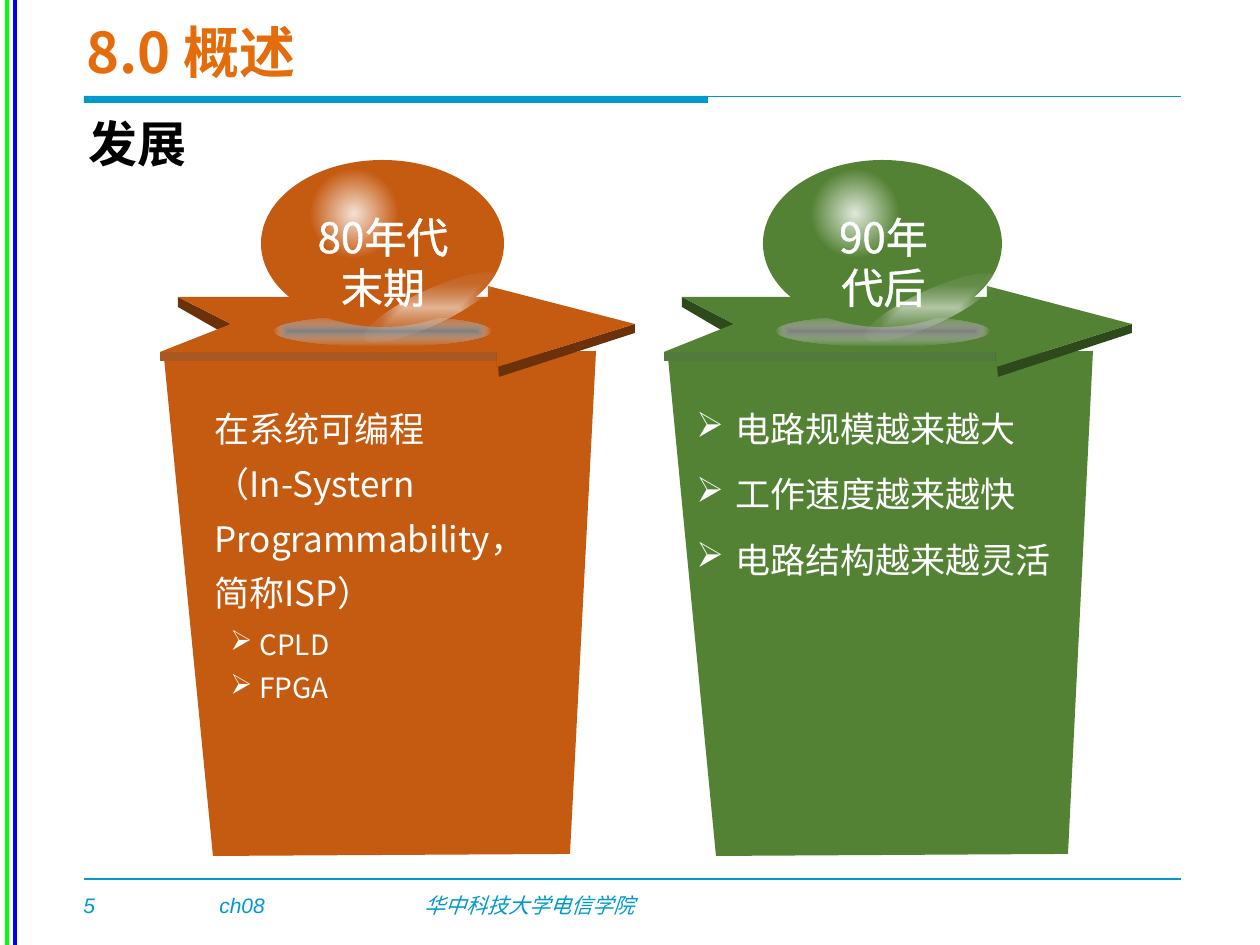
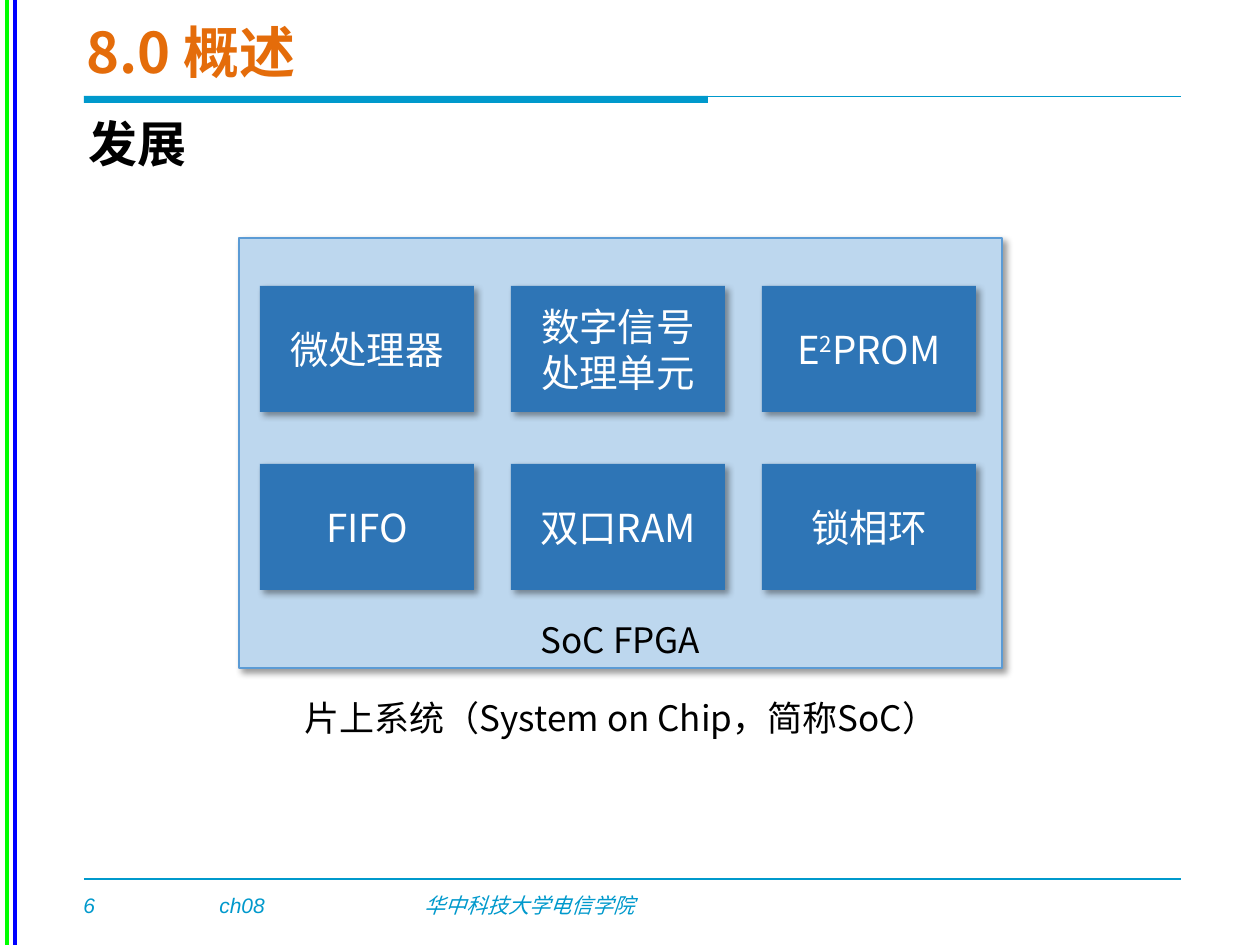
from dataclasses import dataclass

from lxml.etree import SubElement
from pptx import Presentation
from pptx.dml.color import RGBColor
from pptx.enum.shapes import MSO_CONNECTOR, MSO_SHAPE
from pptx.enum.text import MSO_ANCHOR, PP_ALIGN
from pptx.oxml import parse_xml
from pptx.oxml.ns import nsdecls, qn
from pptx.util import Pt

PX = 914400 / 126


def emu(px):
    return round(px * PX)


@dataclass(frozen=True)
class Theme:
    cjk: str = "Noto Sans CJK SC"
    latin: str = "Arial"
    subtitle_font: str = "Calibri"
    title: str = "E46C0A"
    accent: str = "0099CC"
    edge_blue: str = "0000FF"
    edge_green: str = "00FF00"
    ink: str = "000000"
    paper: str = "FFFFFF"
    chip: str = "BDD7EE"
    chip_edge: str = "5B9BD5"
    block: str = "2E75B6"
    title_pt: int = 32
    subtitle_pt: int = 28
    era_pt: int = 24
    block_pt: int = 22
    body_pt: int = 20
    detail_pt: int = 16
    footer_pt: int = 12


@dataclass(frozen=True)
class BinColours:
    face: str
    front: str
    side: str


ORANGE = BinColours("C55A11", "A85821", "6B310B")
GREEN = BinColours("548235", "527A3C", "2E4A1D")

# Gradient stops: position %, colour, opacity %
SLOT = [(0, "808080", 100), (100, "E7E6E6", 0)]
SHINE = [(0, "FFFFFF", 83), (50, "FFFFFF", 0)]
GLARE = [(0, "FFFFFF", 55), (50, "D7D7D7", 12), (100, "FFFFFF", 0)]


class Deck:
    def __init__(self, theme):
        self.theme = theme
        self.prs = Presentation()
        self.prs.slide_width, self.prs.slide_height = emu(1260), emu(945)
        self.slide = None

    def new_slide(self, number, title, subtitle):
        """Start a slide with the shared edge lines, title, rules and footer."""
        t = self.theme
        self.slide = self.prs.slides.add_slide(self.prs.slide_layouts[6])
        self.line(15, 0, 15, 945, t.edge_blue, 2)
        self.line(7, 0, 7, 945, t.edge_green, 2)
        self.shape(84, 96, 624, 7, t.accent)
        self.line(84, 96, 1181, 96, t.accent, 0.5)
        self.line(84, 879, 1181, 879, t.accent, 1)
        for left, width, words in ((71, 52, str(number)), (207, 101, "ch08"),
                                   (412, 334, "华中科技大学电信学院")):
            self.text(left, 886, width, 38, [words], t.footer_pt, t.accent,
                      font=t.latin, italic=True)
        self.text(74, 6, 908, 90, [title], t.title_pt, t.title, bold=True,
                  anchor=MSO_ANCHOR.MIDDLE)
        self.text(76, 107, 1144, 72, [subtitle], t.subtitle_pt, t.ink,
                  font=t.subtitle_font, bold=True)

    def line(self, x1, y1, x2, y2, colour, width):
        rule = self.slide.shapes.add_connector(
            MSO_CONNECTOR.STRAIGHT, emu(x1), emu(y1), emu(x2), emu(y2))
        rule.line.color.rgb = RGBColor.from_string(colour)
        rule.line.width = Pt(width)
        SubElement(rule._element.spPr, qn("a:effectLst"))

    def paint(self, shape, fill, edge=None):
        shape.shadow.inherit = False
        shape.fill.solid()
        shape.fill.fore_color.rgb = RGBColor.from_string(fill)
        if edge:
            shape.line.color.rgb = RGBColor.from_string(edge)
            shape.line.width = Pt(1)
        else:
            shape.line.fill.background()

    def shape(self, left, top, width, height, fill, edge=None,
              kind=MSO_SHAPE.RECTANGLE):
        shape = self.slide.shapes.add_shape(
            kind, emu(left), emu(top), emu(width), emu(height))
        self.paint(shape, fill, edge)
        return shape

    def polygon(self, points, fill):
        outline = self.slide.shapes.build_freeform(*points[0], scale=PX)
        outline.add_line_segments(points[1:], close=True)
        self.paint(outline.convert_to_shape(), fill)

    def ellipse(self, left, top, width, height, fill):
        return self.shape(left, top, width, height, fill, kind=MSO_SHAPE.OVAL)

    def glow(self, left, top, width, height, stops, spread="shape", turn=0):
        """Ellipse whose colour fades outwards from its centre."""
        oval = self.ellipse(left, top, width, height, self.theme.paper)
        oval.rotation = turn
        marks = "".join(
            f'<a:gs pos="{pos * 1000}"><a:srgbClr val="{colour}">'
            f'<a:alpha val="{alpha * 1000}"/></a:srgbClr></a:gs>'
            for pos, colour, alpha in stops)
        gradient = parse_xml(
            f'<a:gradFill {nsdecls("a")} rotWithShape="1"><a:gsLst>{marks}</a:gsLst>'
            f'<a:path path="{spread}"><a:fillToRect l="50000" t="50000" '
            'r="50000" b="50000"/></a:path></a:gradFill>')
        props = oval._element.spPr
        props.replace(props.find(qn("a:solidFill")), gradient)

    def cast_shadow(self, shape):
        effects = shape._element.spPr.find(qn("a:effectLst"))
        effects.append(parse_xml(
            f'<a:outerShdw {nsdecls("a")} blurRad="{Pt(4)}" dist="{Pt(3)}" '
            'dir="2700000" algn="tl" rotWithShape="0"><a:srgbClr val="000000">'
            '<a:alpha val="40000"/></a:srgbClr></a:outerShdw>'))

    def text(self, left, top, width, height, lines, size, colour, **style):
        box = self.slide.shapes.add_textbox(
            emu(left), emu(top), emu(width), emu(height))
        self.fill_text(box.text_frame, lines, size, colour, **style)

    def fill_text(self, frame, lines, size, colour, font=None, bold=False,
                  italic=False, align=PP_ALIGN.LEFT, anchor=MSO_ANCHOR.TOP,
                  spacing=None, before=None, indent=0, outline=None):
        """Fill a frame; text between ^ marks is superscript, indent adds bullets."""
        frame.word_wrap = True
        frame.vertical_anchor = anchor
        for i, words in enumerate(lines):
            para = frame.add_paragraph() if i else frame.paragraphs[0]
            para.alignment = align
            props = para._p.get_or_add_pPr()
            if indent:
                props.set("marL", str(emu(indent)))
                props.set("indent", str(-emu(indent)))
                SubElement(props, qn("a:buChar")).set("char", "➢")
            if spacing:
                para.line_spacing = spacing
            if before:
                para.space_before = Pt(before)
            para.font.name = font or self.theme.cjk
            para.font.size = Pt(size)
            para.font.bold, para.font.italic = bold, italic
            para.font.color.rgb = RGBColor.from_string(colour)
            SubElement(props.get_or_add_defRPr(), qn("a:ea")).set(
                "typeface", self.theme.cjk)
            for n, piece in enumerate(words.split("^")):
                run = para.add_run()
                run.text = piece
                if n % 2:
                    run._r.get_or_add_rPr().set("baseline", "30000")
                if outline:
                    run._r.get_or_add_rPr().insert(0, parse_xml(
                        f'<a:ln {nsdecls("a")} w="{Pt(outline)}"><a:solidFill>'
                        f'<a:srgbClr val="{colour}"/></a:solidFill></a:ln>'))

    def bin(self, left, stretch, colours):
        """Tapered bin with a thick arrow as its lid and a ball on the slot."""
        def x(px):
            return left + round(px * stretch)

        def face(points, fill):
            self.polygon([(x(px), y) for px, y in points], fill)

        def place(px, y, width, height):
            return x(px), y, round(width * stretch), height

        face([(4, 358), (436, 351), (410, 854), (53, 856)], colours.face)
        face([(18, 297), (71, 324), (60, 331), (18, 307)], colours.side)
        face([(0, 352), (337, 352), (337, 361), (0, 361)], colours.front)
        face([(337, 352), (337, 367), (475, 324), (475, 333), (339, 377)],
             colours.side)
        face([(18, 297), (328, 297), (328, 286), (475, 324), (337, 367),
              (337, 352), (0, 352), (71, 324)], colours.face)
        self.glow(*place(114, 316, 217, 30), SLOT)
        self.ellipse(*place(101, 160, 243, 167), colours.face)
        self.glow(*place(117, 170, 154, 87), SHINE, "circle")
        self.glow(*place(197, 290, 147, 35), GLARE, turn=335.4)

    def era(self, left, width, words):
        self.text(left, 205, width, 115, [words], self.theme.era_pt,
                  self.theme.paper, align=PP_ALIGN.CENTER, outline=1.45)


def history_slide(deck):
    t = deck.theme
    deck.new_slide(5, "8.0 概述", "发展")
    deck.bin(160, 1, ORANGE)
    deck.text(202, 389, 359, 228,
              ["在系统可编程", "（In-Systern Programmability，简称ISP）"],
              t.body_pt, t.paper, spacing=1.3)
    deck.text(218, 611, 349, 101, ["CPLD", "FPGA"], t.detail_pt, t.paper,
              spacing=1.3, indent=29)
    deck.era(299, 168, "80年代末期")
    deck.bin(664, 0.985, GREEN)
    deck.text(684, 389, 403, 194,
              ["电路规模越来越大", "工作速度越来越快", "电路结构越来越灵活"],
              t.body_pt, t.paper, spacing=1.3, before=6, indent=39)
    deck.era(819, 129, "90年代后")


def soc_slide(deck):
    t = deck.theme
    deck.new_slide(6, "8.0 概述", "发展")
    chip = deck.shape(239, 238, 763, 430, t.chip, t.chip_edge)
    deck.cast_shadow(chip)
    units = ["微处理器", "数字信号处理单元", "E^2^PROM",
             "FIFO", "双口RAM", "锁相环"]
    for i, unit in enumerate(units):
        row, column = divmod(i, 3)
        block = deck.shape(260 + column * 251, 286 + row * 178, 214, 126, t.block)
        deck.cast_shadow(block)
        deck.fill_text(block.text_frame, [unit], t.block_pt, t.paper,
                       align=PP_ALIGN.CENTER, anchor=MSO_ANCHOR.MIDDLE)
    for left, top, width, caption in (
            (515, 612, 211, "SoC FPGA"),
            (260, 690, 722, "片上系统（System on Chip，简称SoC）")):
        deck.text(left, top, width, 55, [caption], t.body_pt, t.ink,
                  align=PP_ALIGN.CENTER, before=4)


def main():
    deck = Deck(Theme())
    history_slide(deck)
    soc_slide(deck)
    deck.prs.save("out.pptx")


if __name__ == "__main__":
    main()
